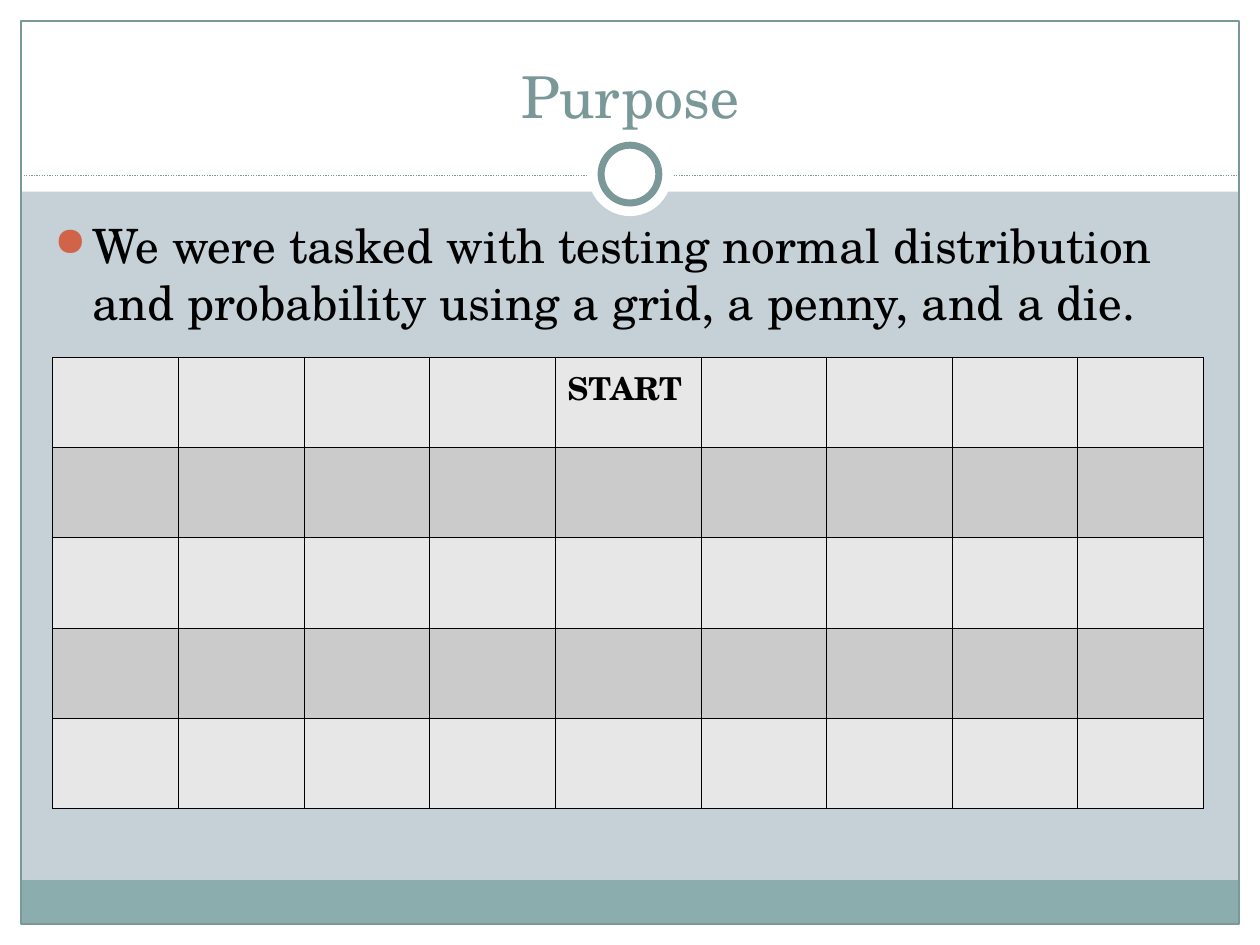
from lxml import etree
from pptx import Presentation
from pptx.dml.color import RGBColor
from pptx.enum import dml, shapes, text
from pptx.oxml import parse_xml
from pptx.oxml.ns import nsdecls, qn
from pptx.util import Pt

WHITE, BLACK = "FFFFFF", "000000"
SLATE, TEAL, MIST, RUST = "7B9899", "8CADAE", "C5D1D7", "D16349"
BANDS = ("E7E7E7", "CBCBCB")
RECT, OVAL = shapes.MSO_SHAPE.RECTANGLE, shapes.MSO_SHAPE.OVAL
WIDTH, HEIGHT, MARGIN = 720, 540, 12


def rgb(value):
    return RGBColor.from_string(value)


class SlideBuilder:
    """Holds the slide and its typeface; all lengths are in points."""

    def __init__(self, slide, face):
        self.slide, self.face = slide, face

    def background(self, color):
        fill = self.slide.background.fill
        fill.solid()
        fill.fore_color.rgb = rgb(color)

    def shape(self, kind, box, fill=None, line=None, weight=0.75):
        item = self.slide.shapes.add_shape(kind, *map(Pt, box))
        item.shadow.inherit = False
        if fill:
            item.fill.solid()
            item.fill.fore_color.rgb = rgb(fill)
        else:
            item.fill.background()
        if line:
            item.line.color.rgb = rgb(line)
            item.line.width = Pt(weight)
        else:
            item.line.fill.background()

    def dotted_rule(self, left, right, y, color):
        rule = self.slide.shapes.add_connector(
            shapes.MSO_CONNECTOR.STRAIGHT, Pt(left), Pt(y), Pt(right), Pt(y))
        rule.line.color.rgb = rgb(color)
        rule.line.width = Pt(0.75)
        rule.line.dash_style = dml.MSO_LINE.ROUND_DOT
        etree.SubElement(rule._element.spPr, qn("a:effectLst"))

    def style(self, paragraph, size, color, bold=False):
        font = paragraph.font
        font.name, font.size, font.bold = self.face, Pt(size), bold
        font.color.rgb = rgb(color)

    def title(self, words, box, size, color):
        heading = self.slide.shapes.title
        heading.left, heading.top, heading.width, heading.height = map(Pt, box)
        frame = heading.text_frame
        frame.text = words
        frame.vertical_anchor = text.MSO_ANCHOR.BOTTOM
        frame.paragraphs[0].alignment = text.PP_ALIGN.CENTER
        self.style(frame.paragraphs[0], size, color)
        # The title must lie in front of the white header band.
        self.slide.shapes._spTree.append(heading._element)

    def bullet(self, words, box, size, color, dot_color):
        frame = self.slide.shapes.add_textbox(*map(Pt, box)).text_frame
        frame.word_wrap = True
        paragraph = frame.paragraphs[0]
        paragraph.text = words
        paragraph.space_before = Pt(6.8)
        props = paragraph._p.get_or_add_pPr()
        props.set("marL", str(Pt(21.6)))
        props.set("indent", str(-Pt(21.6)))
        for part in (f'<a:buClr {nsdecls("a")}><a:srgbClr val="{dot_color}"/></a:buClr>',
                     f'<a:buSzPct {nsdecls("a")} val="85000"/>',
                     f'<a:buChar {nsdecls("a")} char="●"/>'):
            props.append(parse_xml(part))
        self.style(paragraph, size, color)

    def grid(self, corner, widths, row_height, rows):
        table = self.slide.shapes.add_table(
            rows, len(widths), *map(Pt, corner),
            Pt(sum(widths)), Pt(row_height * rows)).table
        table.first_row = table.horz_banding = False
        for column, width in zip(table.columns, widths):
            column.width = Pt(width)
        for index, row in enumerate(table.rows):
            row.height = Pt(row_height)
            for cell in row.cells:
                self.border(cell, BLACK, 0.11)
                cell.fill.solid()
                cell.fill.fore_color.rgb = rgb(BANDS[index % 2])
        return table

    def border(self, cell, color, weight):
        props = cell._tc.get_or_add_tcPr()
        for side in "LRTB":
            props.append(parse_xml(
                f'<a:ln{side} {nsdecls("a")} w="{Pt(weight)}"><a:solidFill>'
                f'<a:srgbClr val="{color}"/></a:solidFill></a:ln{side}>'))


def main():
    deck = Presentation()
    deck.slide_width, deck.slide_height = Pt(WIDTH), Pt(HEIGHT)
    page = SlideBuilder(deck.slides.add_slide(deck.slide_layouts[5]),
                        "TeX Gyre Schola")
    page.background(MIST)

    inner = WIDTH - 2 * MARGIN
    for band in ((0, HEIGHT - MARGIN, WIDTH, MARGIN), (0, 0, WIDTH, 109.5),
                 (0, 0, MARGIN, HEIGHT), (WIDTH - MARGIN, 0, MARGIN, HEIGHT)):
        page.shape(RECT, band, WHITE)
    page.shape(RECT, (MARGIN, 503, inner, 25), TEAL)
    page.shape(RECT, (MARGIN, MARGIN, inner, HEIGHT - 2 * MARGIN), line=SLATE)
    page.dotted_rule(MARGIN, WIDTH - MARGIN, 100.5, SLATE)
    for diameter, outline in ((48, None), (33, SLATE)):
        page.shape(OVAL, (WIDTH / 2 - diameter / 2, 99.5 - diameter / 2,
                          diameter, diameter), WHITE, outline, 4)

    page.title("Purpose", (24, 18, 672, 60), 33, SLATE)
    page.bullet("We were tasked with testing normal distribution and "
                "probability using a grid, a penny, and a die.",
                (24, 120, 670, 83.5), 27, BLACK, RUST)

    side_columns = [71.75] * 4
    grid = page.grid((30, 204), side_columns + [83.5] + side_columns, 51.6, 5)
    start = grid.cell(0, len(side_columns)).text_frame.paragraphs[0]
    start.text = "START"
    start.line_spacing = 0.95
    page.style(start, 18, BLACK, bold=True)

    deck.save("out.pptx")


if __name__ == "__main__":
    main()
